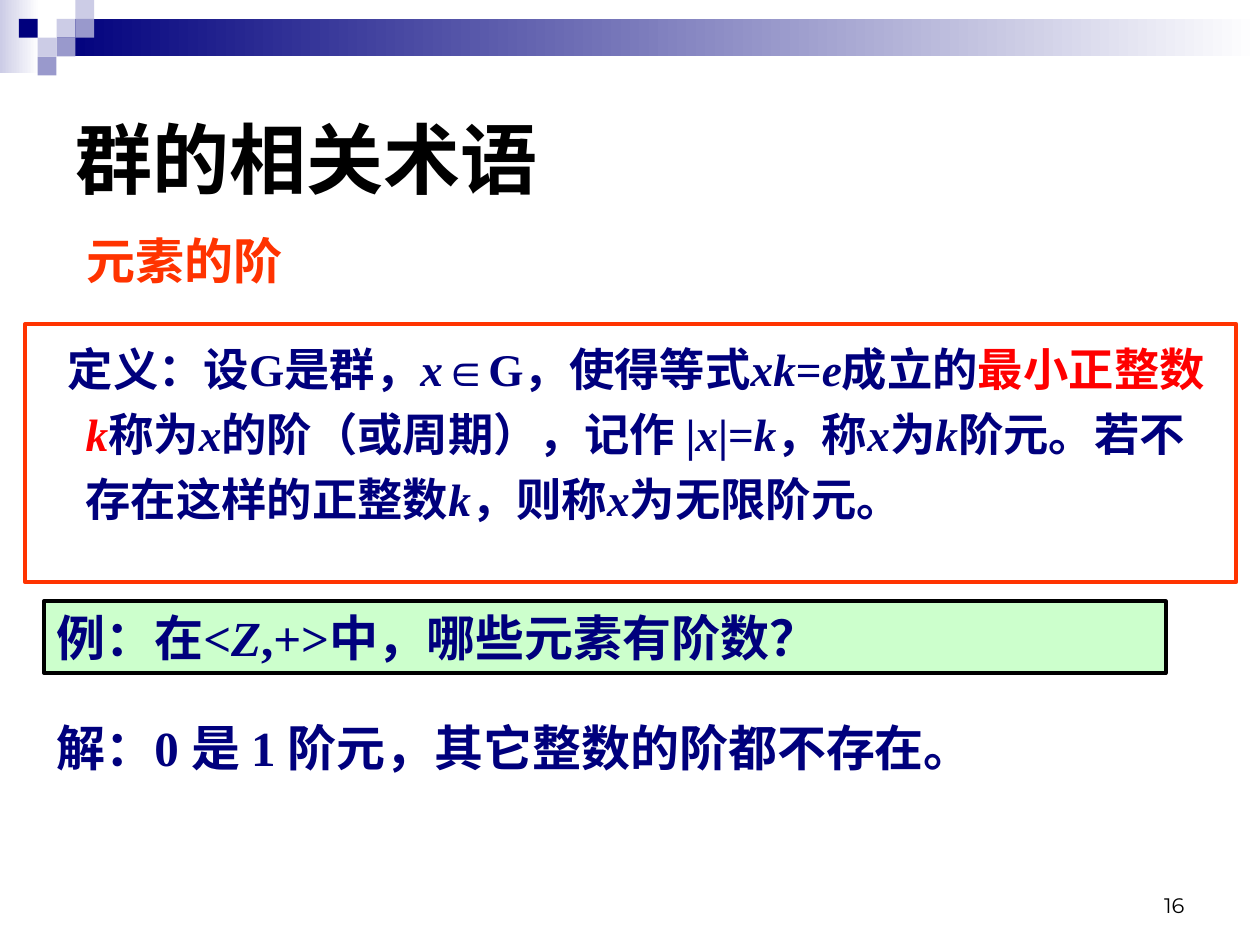
from pptx import Presentation
from pptx.dml.color import RGBColor
from pptx.enum.shapes import MSO_SHAPE
from pptx.enum.text import MSO_ANCHOR, MSO_AUTO_SIZE, PP_ALIGN
from pptx.oxml.ns import qn
from pptx.util import Cm, Pt

COLORS = {
    "navy": "00007D", "lilac": "9999CC", "pale": "CCCCE6", "white": "FFFFFF",
    "black": "000000", "orange": "FF3300", "red": "FF0000", "mint": "CCFFCC",
}
SQUARE = 0.38  # side of one header square, in cm
HEADER_SQUARES = [  # column, row, colour
    (3, 1, "pale"), (4, 0, "pale"), (4, 1, "lilac"), (2, 2, "pale"),
    (1, 1, "navy"), (3, 2, "lilac"), (2, 3, "lilac"),
]
DEFINITION = [
    ("定义：设G是群，*x*∈G，使得等式*xk*=*e*成立的", "navy"),
    ("最小正整数*k*", "red"),
    ("称为*x*的阶（或周期），记作 |*x*|=*k*，称*x*为*k*阶元。"
     "若不存在这样的正整数*k*，则称*x*为无限阶元。", "navy"),
]


def color(name):
    return RGBColor.from_string(COLORS[name])


class SlideBuilder:
    font_name = "Times New Roman"
    line_width = Pt(2.25)

    def __init__(self, presentation):
        self.slide = presentation.slides.add_slide(presentation.slide_layouts[1])

    def fill_text(self, shape, parts, size=28, **options):
        """Fill a shape with (text, colour) parts; *stars* enclose italics."""
        frame = shape.text_frame
        frame_format = {
            "word_wrap": True,
            "auto_size": MSO_AUTO_SIZE.NONE,
            "vertical_anchor": options.get("anchor", MSO_ANCHOR.TOP),
        }
        for name, value in frame_format.items():
            setattr(frame, name, value)
        paragraph = frame.paragraphs[0]
        paragraph.alignment = options.get("alignment", PP_ALIGN.LEFT)
        paragraph.space_before = Pt(0)
        for text, color_name in parts:
            for index, piece in enumerate(text.split("*")):
                if not piece:
                    continue
                run = paragraph.add_run()
                run.text = piece
                font_format = {
                    "name": options.get("font", self.font_name),
                    "size": Pt(size),
                    "bold": options.get("bold", True),
                    "italic": index % 2 == 1,
                }
                for name, value in font_format.items():
                    setattr(run.font, name, value)
                run.font.color.rgb = color(color_name)
        return paragraph

    def outline(self, shape, color_name):
        shape.line.color.rgb = color(color_name)
        shape.line.width = self.line_width

    def rectangle(self, box, fill):
        """Draw a rectangle; two fill names make a left-to-right gradient."""
        shape = self.slide.shapes.add_shape(MSO_SHAPE.RECTANGLE, *map(Cm, box))
        shape.shadow.inherit = False
        shape.line.fill.background()
        if isinstance(fill, tuple):
            shape.fill.gradient()
            shape.fill.gradient_angle = 0
            for stop, name in zip(shape.fill.gradient_stops, fill):
                stop.color.rgb = color(name)
        else:
            shape.fill.solid()
            shape.fill.fore_color.rgb = color(fill)
        return shape

    def placeholder(self, index, box):
        shape = self.slide.placeholders[index]
        for name, value in zip(("left", "top", "width", "height"), box):
            setattr(shape, name, Cm(value))
        return shape

    def title(self, box, text):
        self.fill_text(self.placeholder(0, box), [(text, "black")], size=44,
                       font="Arial", anchor=MSO_ANCHOR.MIDDLE)

    def definition(self, box, parts):
        shape = self.placeholder(1, box)
        self.outline(shape, "orange")
        paragraph = self.fill_text(shape, parts, size=25.9)
        paragraph.line_spacing = 1.2
        properties = paragraph._p.get_or_add_pPr()
        properties.set("marL", str(Cm(0.96)))
        properties.set("indent", str(Cm(-0.36)))
        properties.append(properties.makeelement(qn("a:buNone"), {}))

    def text(self, box, text, color_name, **options):
        shape = self.slide.shapes.add_textbox(*map(Cm, box))
        self.fill_text(shape, [(text, color_name)], **options)

    def example(self, box, text):
        shape = self.rectangle(box, "mint")
        self.outline(shape, "black")
        self.fill_text(shape, [(text, "navy")])

    def header(self):
        self.rectangle((0, 0, 0.79, 1.47), ("pale", "white"))
        self.rectangle((3 * SQUARE, SQUARE, 24.26, 2 * SQUARE), ("navy", "white"))
        for column, row, name in HEADER_SQUARES:
            self.rectangle((column * SQUARE, row * SQUARE, SQUARE, SQUARE), name)


def main():
    presentation = Presentation()
    presentation.slide_width, presentation.slide_height = Cm(25.4), Cm(19.05)
    builder = SlideBuilder(presentation)
    builder.header()
    builder.title((1.27, 1.27, 22.86, 3.81), "群的相关术语")
    builder.text((1.5, 4.52, 5.61, 1.45), "元素的阶", "orange")
    builder.definition((0.51, 6.53, 24.41, 5.21), DEFINITION)
    builder.example((0.89, 12.12, 22.61, 1.45), "例：在<*Z*,+>中，哪些元素有阶数？")
    builder.text((0.89, 14.33, 22.4, 1.45),
                 "解：0 是 1 阶元，其它整数的阶都不存在。", "navy")
    builder.text((18.21, 17.35, 5.92, 1.27), "16", "black", size=12, bold=False,
                 font="Montserrat", anchor=MSO_ANCHOR.BOTTOM,
                 alignment=PP_ALIGN.RIGHT)
    presentation.save("out.pptx")


if __name__ == "__main__":
    main()
